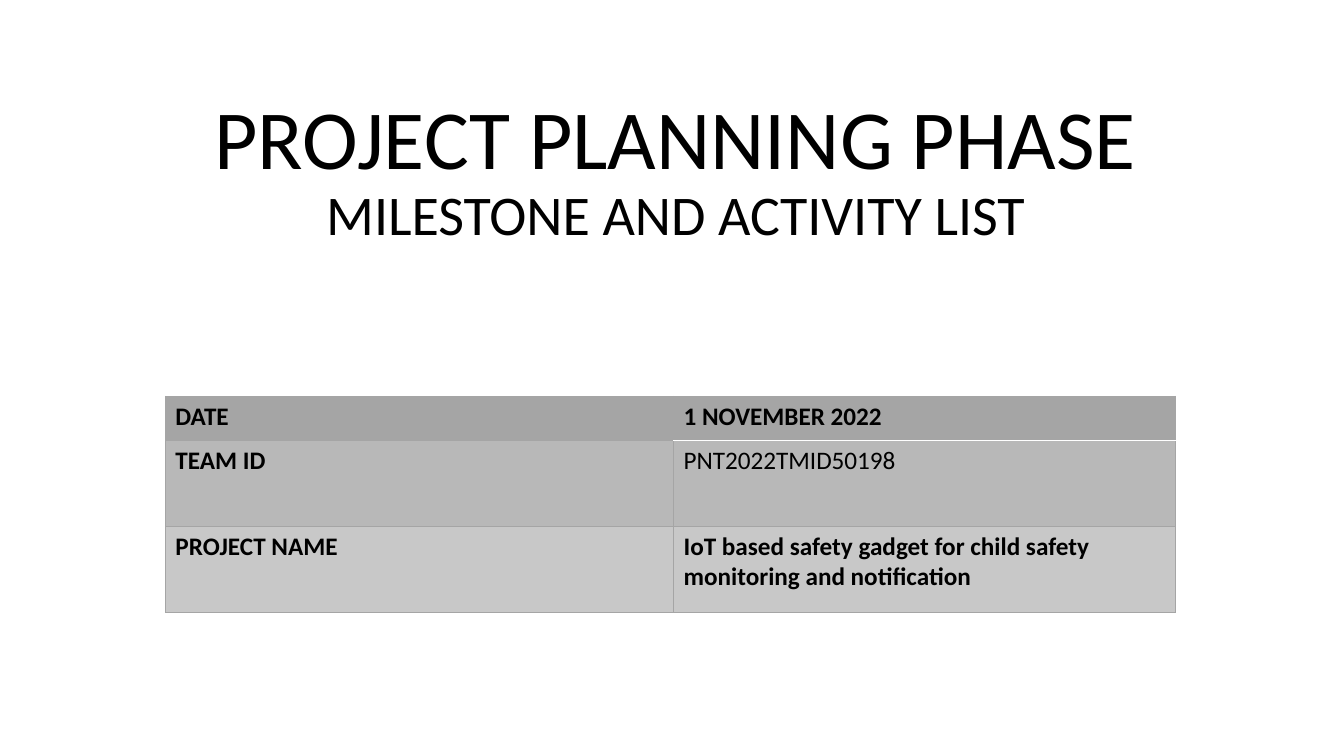
from lxml import etree
from pptx import Presentation
from pptx import util as u
from pptx.dml.color import RGBColor
from pptx.enum import text
from pptx.oxml.ns import qn

BLACK = RGBColor(0, 0, 0)
WHITE = RGBColor(255, 255, 255)
GRAY = RGBColor(0xA5, 0xA5, 0xA5)
MID = RGBColor(0xB8, 0xB8, 0xB8)
PALE = RGBColor(0xC8, 0xC8, 0xC8)

HEAD = [("PROJECT PLANNING PHASE", 60), ("MILESTONE AND ACTIVITY LIST", 40)]
ROWS = [
    ("DATE", "1 NOVEMBER 2022", GRAY, 0.44),
    ("TEAM ID", "PNT2022TMID50198", MID, 0.85),
    ("PROJECT NAME",
     "IoT based safety gadget for child safety monitoring and notification",
     PALE, 0.85),
]
COLS = [5.04, 4.98]
PLAIN = (1, 1)
RULE = {(0, 1, "B"), (1, 1, "T")}


def style(run, size, bold=False):
    look = {"name": "Calibri", "size": u.Pt(size), "bold": bold}
    for key, val in look.items():
        setattr(run.font, key, val)
    run.font.color.rgb = BLACK


def border(cell, side, spot, color, width):
    props = cell._tc.get_or_add_tcPr()
    line = etree.Element(qn("a:ln" + side), w=str(u.Pt(width)))
    fill = etree.SubElement(line, qn("a:solidFill"))
    etree.SubElement(fill, qn("a:srgbClr"), val=str(color))
    props.insert(spot, line)


def add_title(slide):
    title = slide.shapes.title
    place = {"left": 1.7, "top": -0.1, "width": 10, "height": 2.61}
    for key, val in place.items():
        setattr(title, key, u.Inches(val))
    frame = title.text_frame
    frame.word_wrap = True
    frame.auto_size = text.MSO_AUTO_SIZE.NONE
    frame.vertical_anchor = text.MSO_ANCHOR.BOTTOM
    para = frame.paragraphs[0]
    para.alignment = text.PP_ALIGN.CENTER
    para.line_spacing = 0.9
    for i, (words, size) in enumerate(HEAD):
        if i:
            para.add_line_break()
        run = para.add_run()
        run.text = words
        style(run, size)


def add_grid(slide):
    high = sum(row[-1] for row in ROWS)
    box = [u.Inches(n) for n in (1.64, 3.93, sum(COLS), high)]
    table = slide.shapes.add_table(len(ROWS), len(COLS), *box).table
    for col, wide in zip(table.columns, COLS):
        col.width = u.Inches(wide)
    for r, (*words, shade, tall) in enumerate(ROWS):
        table.rows[r].height = u.Inches(tall)
        for c, word in enumerate(words):
            cell = table.cell(r, c)
            cell.fill.solid()
            cell.fill.fore_color.rgb = shade
            run = cell.text_frame.paragraphs[0].add_run()
            run.text = word
            style(run, 18, (r, c) != PLAIN)
            for spot, side in enumerate("LRTB"):
                pen = (WHITE, 1) if (r, c, side) in RULE else (GRAY, 0.5)
                border(cell, side, spot, *pen)


def main():
    deck = Presentation()
    deck.slide_width = u.Inches(13.33)
    deck.slide_height = u.Inches(7.5)
    slide = deck.slides.add_slide(deck.slide_layouts[5])
    add_title(slide)
    add_grid(slide)
    deck.save("out.pptx")


if __name__ == "__main__":
    main()
